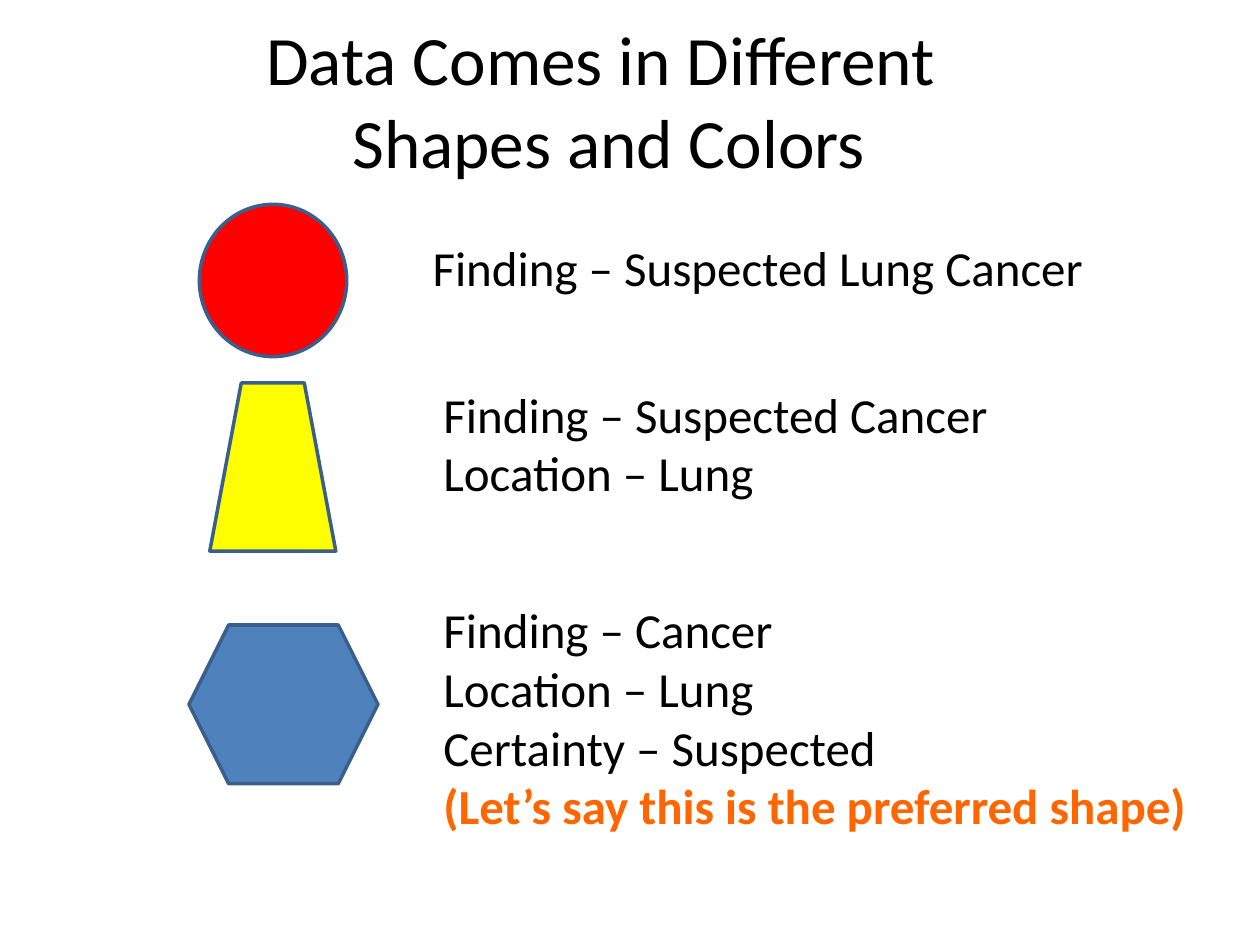
from dataclasses import dataclass

from pptx import Presentation
from pptx.dml.color import RGBColor as RGB
from pptx.enum.shapes import MSO_SHAPE as SHAPE
from pptx.enum.text import MSO_ANCHOR as ANCHOR, MSO_AUTO_SIZE as AUTO, PP_ALIGN as ALIGN
from pptx.util import Cm, Pt


@dataclass(frozen=True)
class Theme:
    font: str = "Calibri"
    title_size: float = 39.6
    body_size: float = 28
    line_width: float = 2
    text: RGB = RGB(0x00, 0x00, 0x00)
    accent: RGB = RGB(0xFF, 0x66, 0x00)
    outline: RGB = RGB(0x3A, 0x5F, 0x8C)
    red: RGB = RGB(0xFF, 0x00, 0x00)
    yellow: RGB = RGB(0xFF, 0xFF, 0x00)
    blue: RGB = RGB(0x4F, 0x81, 0xBD)


class SlideBuilder:
    def __init__(self, slide, theme):
        self.slide = slide
        self.theme = theme

    def run(self, p, text, size, color, bold=None):
        r = p.add_run()
        r.text = text
        r.font.name = self.theme.font
        r.font.size = Pt(size)
        r.font.bold = bold
        r.font.color.rgb = color

    def title(self, lines, box):
        tf = self.slide.shapes.add_textbox(*map(Cm, box)).text_frame
        tf.word_wrap = True
        tf.vertical_anchor = ANCHOR.MIDDLE
        p = tf.paragraphs[0]
        p.alignment = ALIGN.CENTER
        for i, line in enumerate(lines):
            if i:
                p.add_line_break()
            self.run(p, line, self.theme.title_size, self.theme.text)

    def description(self, lines, box, note=None):
        t = self.theme
        tf = self.slide.shapes.add_textbox(*map(Cm, box)).text_frame
        tf.word_wrap = False
        tf.auto_size = AUTO.SHAPE_TO_FIT_TEXT
        for i, line in enumerate(lines):
            p = tf.add_paragraph() if i else tf.paragraphs[0]
            self.run(p, line, t.body_size, t.text)
        if note:
            self.run(tf.add_paragraph(), note, t.body_size, t.accent, bold=True)

    def symbol(self, kind, fill, box):
        sp = self.slide.shapes.add_shape(kind, *map(Cm, box))
        sp.shadow.inherit = False
        sp.fill.solid()
        sp.fill.fore_color.rgb = fill
        sp.line.color.rgb = self.theme.outline
        sp.line.width = Pt(self.theme.line_width)


def main():
    prs = Presentation()
    prs.slide_width, prs.slide_height = Cm(25.4), Cm(19.05)
    theme = Theme()
    s = SlideBuilder(prs.slides.add_slide(prs.slide_layouts[6]), theme)

    # Title
    s.title(["Data Comes in Different ", "Shapes and Colors"], (0.84, 0.42, 22.86, 3.18))

    # Descriptions
    s.description(["Finding – Suspected Lung Cancer"], (8.47, 4.66, 13.77, 1.45))
    s.description(["Finding – Suspected Cancer", "Location – Lung"],
                  (8.69, 7.62, 11.61, 2.64))
    s.description(["Finding – Cancer", "Location – Lung", "Certainty – Suspected"],
                  (8.69, 11.96, 15.9, 5.05),
                  note="(Let’s say this is the preferred shape)")

    # Data shapes
    s.symbol(SHAPE.OVAL, theme.red, (4.02, 4.12, 2.97, 3.07))
    s.symbol(SHAPE.TRAPEZOID, theme.yellow, (4.23, 7.72, 2.54, 3.39))
    s.symbol(SHAPE.HEXAGON, theme.blue, (3.81, 12.6, 3.81, 3.2))

    prs.save("out.pptx")


if __name__ == "__main__":
    main()
